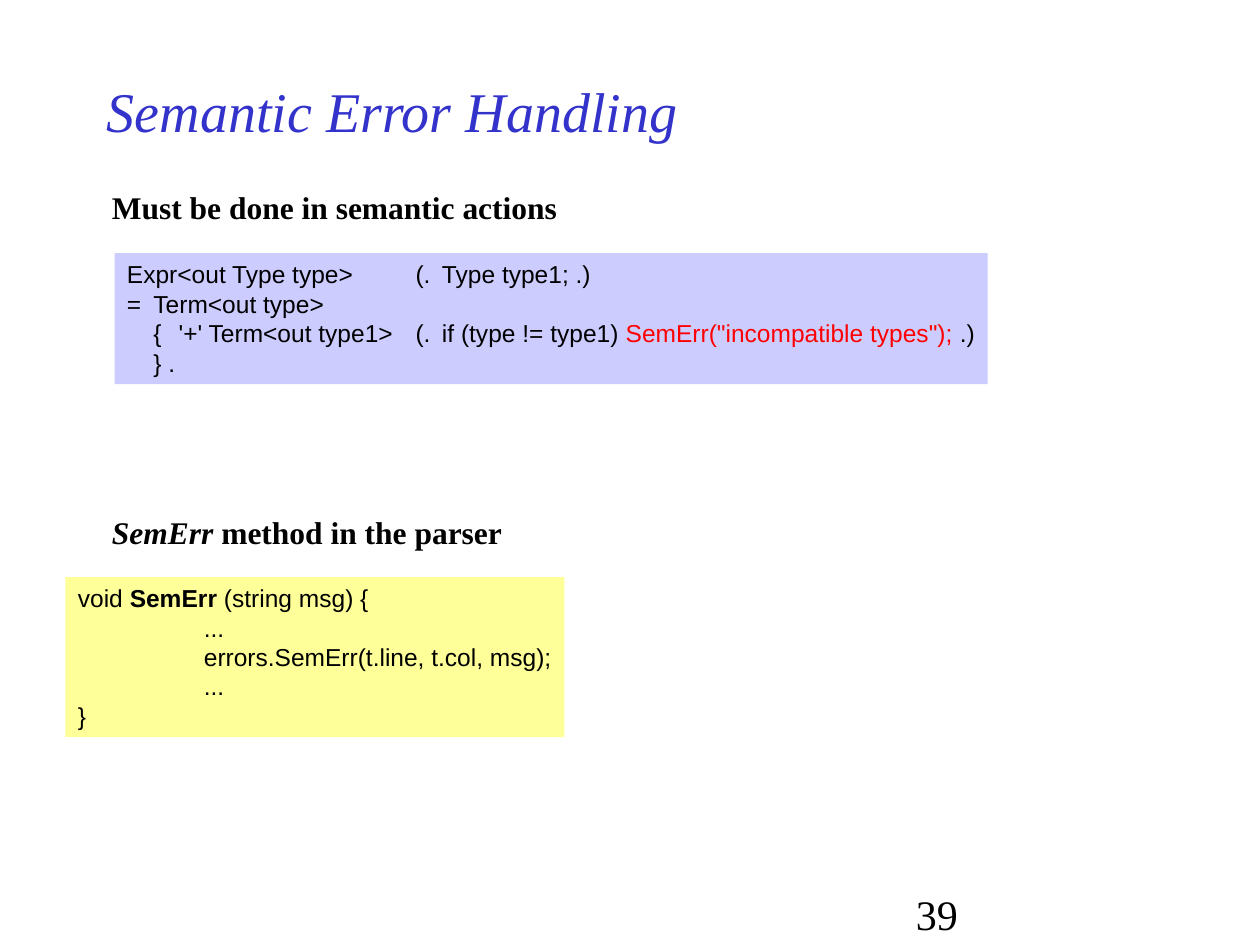
from dataclasses import dataclass

from lxml.etree import SubElement
from pptx import Presentation
from pptx.dml.color import RGBColor
from pptx.enum.shapes import MSO_SHAPE
from pptx.enum.text import MSO_ANCHOR, MSO_AUTO_SIZE, PP_ALIGN
from pptx.oxml.ns import qn
from pptx.util import Inches, Pt

BLACK = RGBColor(0x00, 0x00, 0x00)
BLUE = RGBColor(0x33, 0x33, 0xCC)
RED = RGBColor(0xFF, 0x00, 0x00)
LAVENDER = RGBColor(0xCC, 0xCC, 0xFF)
YELLOW = RGBColor(0xFF, 0xFF, 0x99)

SERIF = "Times New Roman"
SANS = "Arial"
GRAMMAR_TABS = (0.21, 0.41, 2.29, 2.5, 2.71)
METHOD_TABS = (1,)


@dataclass(frozen=True)
class Span:
    text: str
    color: RGBColor = BLACK
    bold: bool = False
    italic: bool = False


@dataclass(frozen=True)
class TextBlock:
    left: float
    top: float
    width: float
    height: float
    lines: tuple[tuple[Span, ...], ...]
    size: int
    font: str = SERIF
    fill: RGBColor | None = None
    tabs: tuple[float, ...] = ()
    anchor: MSO_ANCHOR = MSO_ANCHOR.TOP


def add_tabs(para, stops: tuple[float, ...]) -> None:
    """Give a paragraph left-aligned tab stops, in inches."""
    tab_list = SubElement(para._p.get_or_add_pPr(), qn("a:tabLst"))
    for stop in stops:
        SubElement(tab_list, qn("a:tab"), pos=str(Inches(stop)), algn="l")


def draw_block(page, block: TextBlock) -> None:
    """Draw a wrapping text box, or a filled code panel that fits its lines."""
    place = [Inches(n) for n in (block.left, block.top, block.width, block.height)]
    is_panel = block.fill is not None
    if is_panel:
        box = page.shapes.add_shape(MSO_SHAPE.RECTANGLE, *place)
        box.shadow.inherit = False
        box.fill.solid()
        box.fill.fore_color.rgb = block.fill
        box.line.fill.background()
    else:
        box = page.shapes.add_textbox(*place)

    frame = box.text_frame
    frame.word_wrap = not is_panel
    frame.auto_size = MSO_AUTO_SIZE.SHAPE_TO_FIT_TEXT if is_panel else MSO_AUTO_SIZE.NONE
    frame.vertical_anchor = block.anchor
    for index, line in enumerate(block.lines):
        para = frame.add_paragraph() if index else frame.paragraphs[0]
        para.alignment = PP_ALIGN.LEFT
        if block.tabs:
            add_tabs(para, block.tabs)
        for span in line:
            run = para.add_run()
            run.text = span.text
            run.font.name = block.font
            run.font.size = Pt(block.size)
            run.font.bold = span.bold
            run.font.italic = span.italic
            run.font.color.rgb = span.color


BLOCKS = (
    # Title
    TextBlock(0.75, 0.5, 7.5, 0.75,
              ((Span("Semantic Error Handling", BLUE, italic=True),),),
              size=32, anchor=MSO_ANCHOR.MIDDLE),
    # Grammar with semantic actions
    TextBlock(0.79, 1.44, 3.8, 0.4,
              ((Span("Must be done in semantic actions", bold=True),),), size=18),
    TextBlock(0.91, 2.01, 6.93, 1.04, (
        (Span("Expr<out Type type>\t(.\tType type1; .)"),),
        (Span("=\tTerm<out type>"),),
        (Span("\t{\t'+' Term<out type1>\t(.\tif (type != type1) "),
         Span('SemErr("incompatible types");', RED),
         Span(" .)")),
        (Span("\t} ."),),
    ), size=14, font=SANS, fill=LAVENDER, tabs=GRAMMAR_TABS),
    # Parser method
    TextBlock(0.79, 4.02, 3.4, 0.4,
              ((Span("SemErr", bold=True, italic=True),
                Span(" method in the parser", bold=True)),), size=18),
    TextBlock(0.52, 4.58, 3.96, 1.27, (
        (Span("void "), Span("SemErr", bold=True), Span(" (string msg) {")),
        (Span("\t..."),),
        (Span("\terrors.SemErr(t.line, t.col, msg);"),),
        (Span("\t..."),),
        (Span("}"),),
    ), size=14, font=SANS, fill=YELLOW, tabs=METHOD_TABS),
    # Page number
    TextBlock(7.17, 7, 2.08, 0.33, ((Span("39"),),), size=24),
)


def main() -> None:
    deck = Presentation()
    deck.slide_width = Inches(10)
    deck.slide_height = Inches(7.5)
    page = deck.slides.add_slide(deck.slide_layouts[6])
    for block in BLOCKS:
        draw_block(page, block)
    deck.save("out.pptx")


if __name__ == "__main__":
    main()
